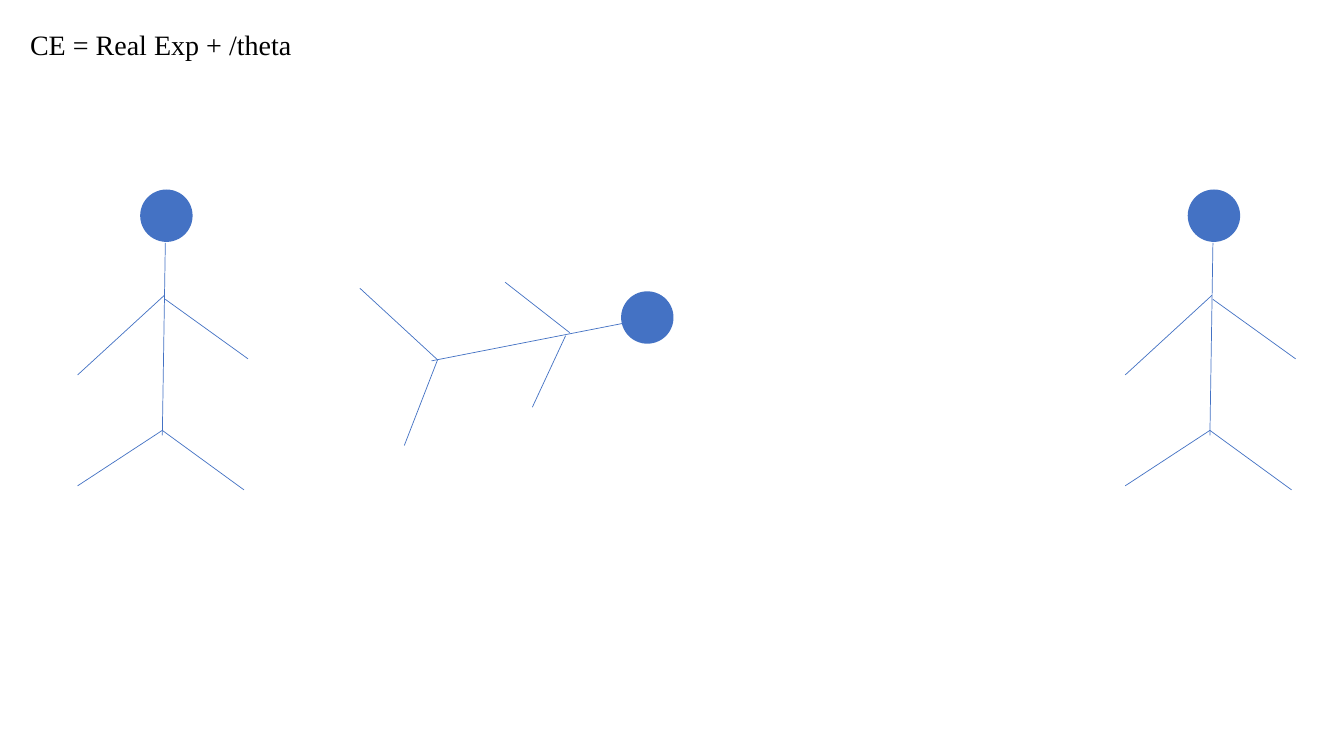
from lxml import etree
from pptx import Presentation
from pptx import util as u
from pptx.dml.color import RGBColor
from pptx.enum import shapes, text

BLUE = RGBColor(0x44, 0x72, 0xC4)
BLACK = RGBColor(0, 0, 0)
HEAD = 0.52
DRAWING = "{http://schemas.openxmlformats.org/drawingml/2006/main}"

# Each figure: head corner, head turn, then limbs as (x1, y1, x2, y2)
UPRIGHT = ((1.39, 1.88), 0, [
    (1.64, 2.41, 1.61, 4.32),
    (1.63, 2.93, 0.77, 3.72),
    (1.64, 2.97, 2.46, 3.56),
    (1.61, 4.27, 2.42, 4.86),
    (1.61, 4.27, 0.77, 4.82),
])
LYING = ((6.16, 2.89), 77.8, [
    (6.17, 3.21, 4.28, 3.58),
    (5.65, 3.3, 5.01, 2.8),
    (5.61, 3.33, 5.28, 4.04),
    (4.34, 3.57, 4.01, 4.42),
    (4.34, 3.57, 3.57, 2.86),
])


class Sketch:
    font = "Times New Roman"
    size = u.Pt(20)
    width = u.Pt(0.5)

    def __init__(self, slide):
        self.shapes = slide.shapes

    def label(self, words, *box):
        frame = self.shapes.add_textbox(*map(u.Inches, box)).text_frame
        frame.word_wrap = True
        frame.auto_size = text.MSO_AUTO_SIZE.SHAPE_TO_FIT_TEXT
        line = frame.paragraphs[0]
        line.text = words
        line.font.name = self.font
        line.font.size = self.size
        line.font.color.rgb = BLACK

    def head(self, left, top, turn):
        oval = self.shapes.add_shape(
            shapes.MSO_SHAPE.OVAL, *map(u.Inches, (left, top, HEAD, HEAD)))
        oval.rotation = turn
        oval.shadow.inherit = False
        oval.fill.solid()
        oval.fill.fore_color.rgb = BLUE
        oval.line.fill.background()

    def limb(self, *ends):
        line = self.shapes.add_connector(
            shapes.MSO_CONNECTOR.STRAIGHT, *map(u.Inches, ends))
        line.line.color.rgb = BLUE
        line.line.width = self.width
        etree.SubElement(line._element.spPr, DRAWING + "effectLst")

    def figure(self, pose, shift=0):
        (left, top), turn, limbs = pose
        self.head(left + shift, top, turn)
        for x1, y1, x2, y2 in limbs:
            self.limb(x1 + shift, y1, x2 + shift, y2)


def main():
    deck = Presentation()
    deck.slide_width = u.Inches(13.33)
    deck.slide_height = u.Inches(7.5)
    sketch = Sketch(deck.slides.add_slide(deck.slide_layouts[6]))

    # Formula
    sketch.label("CE = Real Exp + /theta", 0.2, 0.22, 7.16, 0.44)

    # Two upright figures and one lying between them
    sketch.figure(UPRIGHT)
    sketch.figure(UPRIGHT, shift=10.39)
    sketch.figure(LYING)

    deck.save("out.pptx")


if __name__ == "__main__":
    main()
